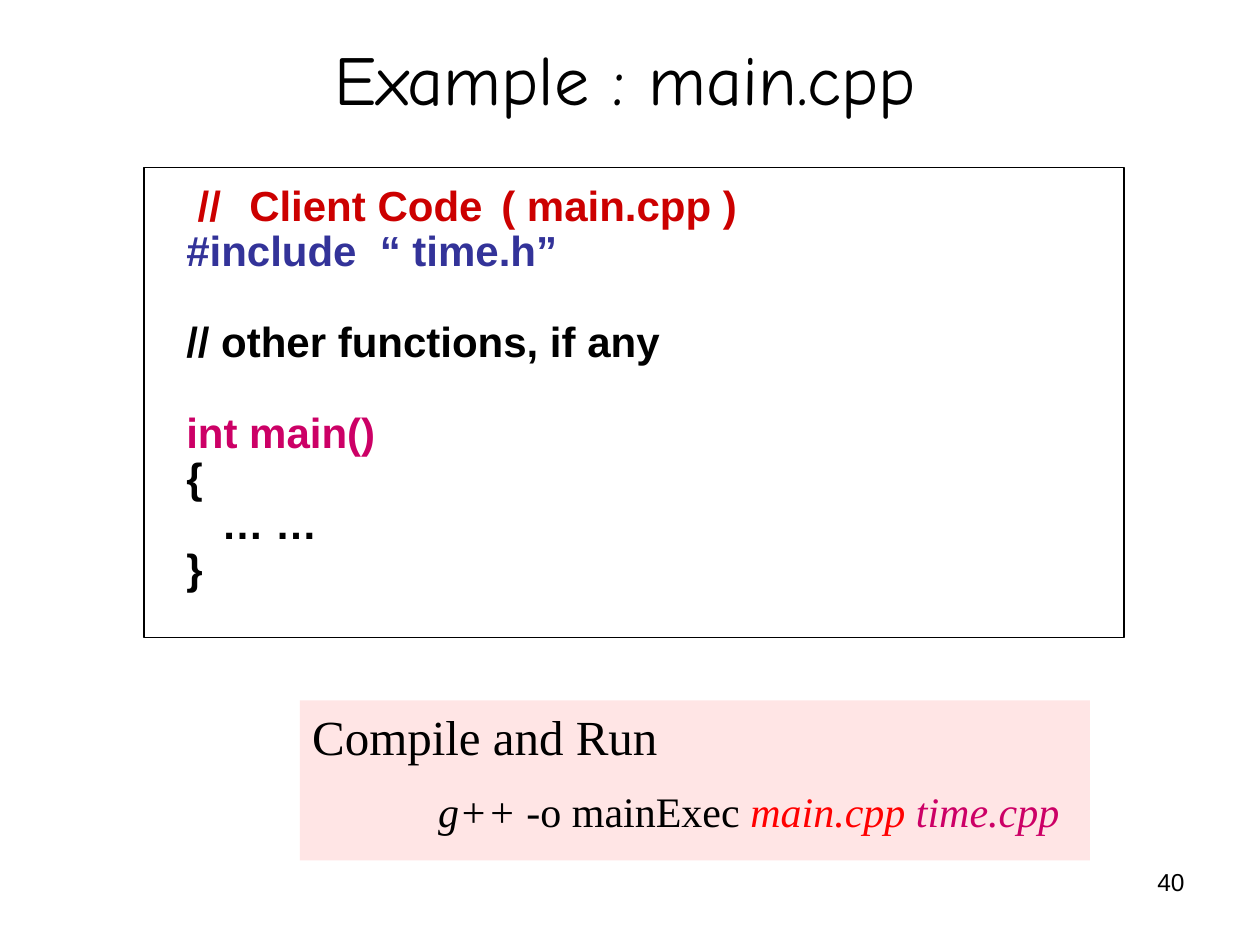
from lxml.etree import SubElement
from pptx import Presentation
from pptx.dml.color import RGBColor
from pptx.enum.shapes import MSO_SHAPE
from pptx.enum.text import MSO_ANCHOR, PP_ALIGN
from pptx.oxml.ns import qn
from pptx.util import Inches, Pt

BLACK = RGBColor(0x00, 0x00, 0x00)
WHITE = RGBColor(0xFF, 0xFF, 0xFF)
CRIMSON = RGBColor(0xCC, 0x00, 0x00)
RED = RGBColor(0xFF, 0x00, 0x00)
NAVY = RGBColor(0x33, 0x33, 0x99)
MAGENTA = RGBColor(0xCC, 0x00, 0x66)
PINK = RGBColor(0xFF, 0xE5, 0xE5)


class SlideBuilder:
    """Holds the text style and the current slide, and adds its elements."""

    code = {"name": "Arial", "size": Pt(24), "bold": True}
    serif = {"name": "Times New Roman", "size": Pt(24)}

    def __init__(self, s):
        self.s = s

    def panel(self, at, fill, line=None):
        sp = self.s.shapes.add_shape(MSO_SHAPE.RECTANGLE, *map(Inches, at))
        sp.shadow.inherit = False
        sp.fill.solid()
        sp.fill.fore_color.rgb = fill
        if line is None:
            sp.line.fill.background()
        else:
            sp.line.color.rgb = line
            sp.line.width = Pt(1)

    def text_box(self, at, anchor=MSO_ANCHOR.TOP):
        tf = self.s.shapes.add_textbox(*map(Inches, at)).text_frame
        tf.word_wrap = True
        tf.vertical_anchor = anchor
        return tf

    def paragraph(self, tf, runs, indent=0, tabs=(), **form):
        p = tf.paragraphs[0]
        if p.runs:
            p = tf.add_paragraph()
        for key, value in form.items():
            setattr(p, key, value)
        pPr = p._p.get_or_add_pPr()
        pPr.set("marL", "0")
        pPr.set("indent", str(Inches(indent)))
        if tabs:
            tab_list = SubElement(pPr, qn("a:tabLst"))
            for pos in tabs:
                SubElement(tab_list, qn("a:tab"), pos=str(Inches(pos)), algn="l")
        for text, color, font in runs:
            r = p.add_run()
            r.text = text
            r.font.color.rgb = color
            for key, value in font.items():
                setattr(r.font, key, value)

    def line(self, at, text, font, align, anchor=MSO_ANCHOR.TOP):
        tf = self.text_box(at, anchor)
        self.paragraph(tf, [(text, BLACK, font)], alignment=align)

    def code_listing(self, at, lines):
        tf = self.text_box(at)
        for text, color, gap, indent, tabs in lines:
            self.paragraph(tf, [(text, color, self.code)], indent, tabs,
                           line_spacing=0.9, space_before=Pt(gap))

    def command(self, at, heading, runs):
        tf = self.text_box(at)
        self.paragraph(tf, [(heading, BLACK, {**self.serif, "size": Pt(28)})])
        styled = [(text, color, {**self.serif, "italic": italic})
                  for text, color, italic in runs]
        self.paragraph(tf, styled, indent=1, space_before=Pt(11.5))


def main():
    prs = Presentation()
    prs.slide_width, prs.slide_height = Inches(10), Inches(7.5)
    b = SlideBuilder(prs.slides.add_slide(prs.slide_layouts[6]))

    b.line((7.17, 6.83, 2.33, 0.52), "40",
           {"name": "Arial", "size": Pt(14)}, PP_ALIGN.RIGHT)
    b.line((0.67, 0.25, 8.58, 0.75), "Example : main.cpp",
           {"name": "Comic Neue", "size": Pt(40)}, PP_ALIGN.CENTER, MSO_ANCHOR.BOTTOM)

    b.panel((1.14, 1.33, 7.78, 3.73), WHITE, BLACK)
    blank_line = 26
    b.code_listing((1.38, 1.42, 7.35, 3.5), [
        ("//\tClient Code\t( main.cpp )", CRIMSON, 0, 0.09, (0.54, 3.79)),
        ("#include  “ time.h”", NAVY, 0, 0, ()),
        ("// other functions, if any", BLACK, blank_line, 0, ()),
        ("int main()", MAGENTA, blank_line, 0, ()),
        ("{", BLACK, 0, 0, ()),
        ("… …", BLACK, 0, 0.28, ()),
        ("}", BLACK, 0, 0, ()),
    ])

    command_area = (2.38, 5.56, 6.27, 1.27)
    b.panel(command_area, PINK)
    b.command(command_area, "Compile and Run", [
        ("g++", BLACK, True),
        (" -o mainExec ", BLACK, False),
        ("main.cpp ", RED, True),
        ("time.cpp", MAGENTA, True),
    ])

    prs.save("out.pptx")


if __name__ == "__main__":
    main()
